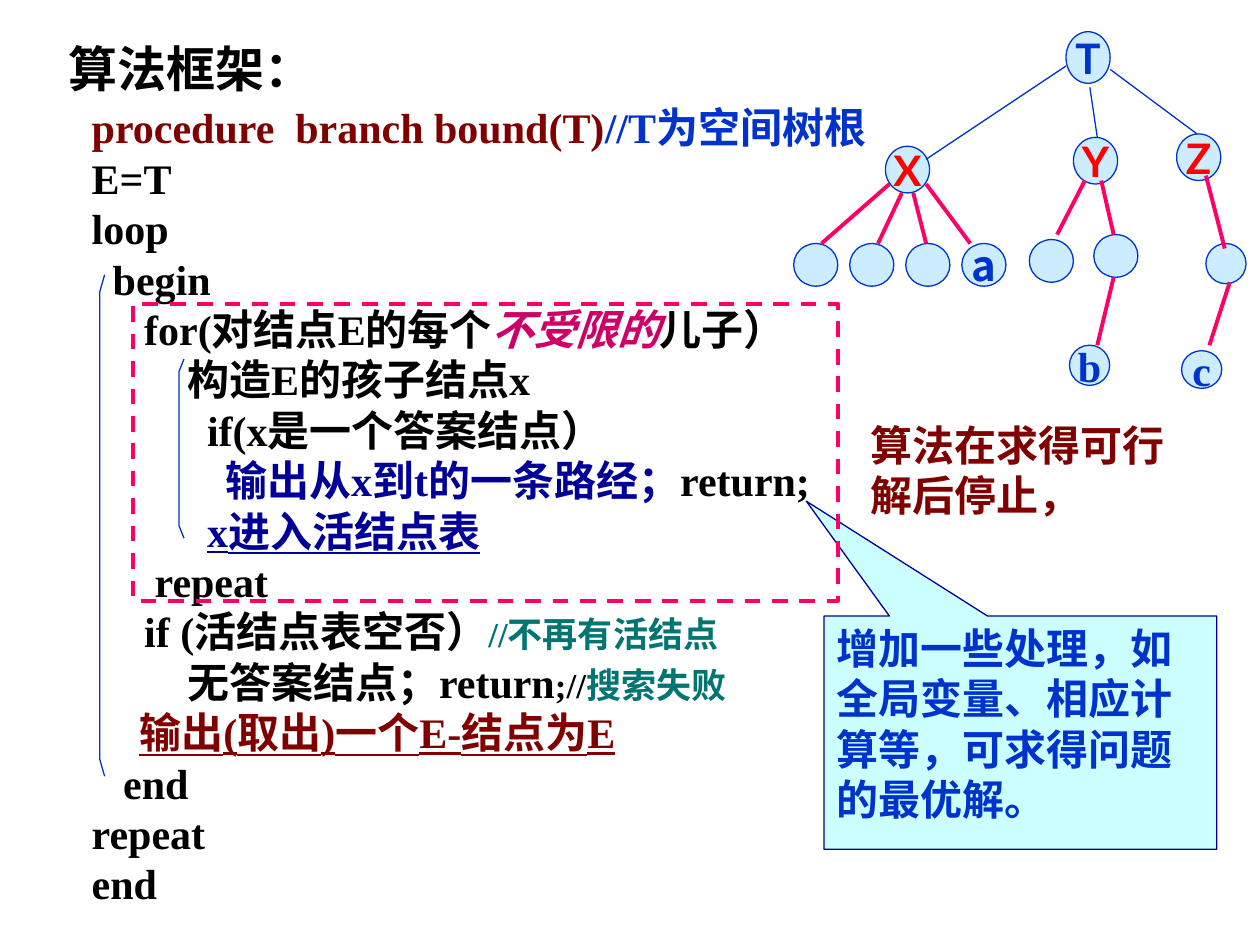
from lxml import etree
from pptx import Presentation
from pptx.dml.color import RGBColor
from pptx.enum.dml import MSO_LINE
from pptx.enum.shapes import MSO_CONNECTOR, MSO_SHAPE
from pptx.enum.text import MSO_ANCHOR, PP_ALIGN
from pptx.oxml.ns import qn
from pptx.util import Cm, Pt

STRAIGHT = MSO_CONNECTOR.STRAIGHT
OVAL, RECTANGLE = MSO_SHAPE.OVAL, MSO_SHAPE.RECTANGLE
CALLOUT = MSO_SHAPE.RECTANGULAR_CALLOUT
DASH = MSO_LINE.DASH
TOP, MIDDLE = MSO_ANCHOR.TOP, MSO_ANCHOR.MIDDLE
LEFT, CENTER = PP_ALIGN.LEFT, PP_ALIGN.CENTER

BLACK = RGBColor(0x00, 0x00, 0x00)
BLUE = RGBColor(0x00, 0x33, 0xCC)
NAVY = RGBColor(0x00, 0x00, 0x99)
MAROON = RGBColor(0x80, 0x00, 0x00)
MAGENTA = RGBColor(0xCC, 0x00, 0x66)
PINK = RGBColor(0xFF, 0x00, 0x66)
RED = RGBColor(0xFF, 0x00, 0x00)
TEAL = RGBColor(0x00, 0x75, 0x72)
PALE_BLUE = RGBColor(0xCC, 0xEC, 0xFF)
PALE_CYAN = RGBColor(0xCC, 0xFF, 0xFF)

SERIF, SANS, CHINESE = "Times New Roman", "Lato", "Noto Sans CJK SC"
LINE_FACTOR = 1.2

# Each code line is a list of runs: text, colour, further font values
UNDERLINED = {"underline": True}
SMALL = {"size": Pt(20)}
CODE = [
    [("procedure  branch bound(T)", MAROON, {}), ("//T为空间树根", BLUE, {})],
    [("E=T", BLACK, {})],
    [("loop", BLACK, {})],
    [("  begin", BLACK, {})],
    [("     for(对结点E的每个", BLACK, {}),
     ("不受限的", MAGENTA, {"italic": True}), ("儿子）", BLACK, {})],
    [("          构造E的孩子结点x", BLACK, {})],
    [("           if(x是一个答案结点）", BLACK, {})],
    [("              输出从x到t的一条路经；", NAVY, {}), ("return;", BLACK, {})],
    [("           ", NAVY, {}), ("x进入活结点表", NAVY, UNDERLINED)],
    [("      repeat", BLACK, {})],
    [("     if (活结点表空否）", BLACK, {}), ("//不再有活结点", TEAL, SMALL)],
    [("          无答案结点；return", BLACK, {}), (";//", BLACK, SMALL),
     ("搜索失败", TEAL, SMALL)],
    [("     ", MAROON, {}), ("输出(取出)一个E-结点为E", MAROON, UNDERLINED)],
    [("   end", BLACK, {})],
    [("repeat", BLACK, {})],
    [("end", BLACK, {})],
]

# Tree geometry in cm, relative to the tree's box
NODE_WIDTH, LEAF_HEIGHT, INNER_HEIGHT, SMALL_NODE = 0.89, 0.86, 0.94, 0.81
LEAF_TOP, LEAF_STEP = 4.27, 1.13
NODES = [  # left, top, width, height, label, font, colour
    (5.49, 0, NODE_WIDTH, 1.04, "T", SANS, BLUE),
    (1.85, 2.31, NODE_WIDTH, INNER_HEIGHT, "X", SANS, RED),
    (5.64, 2.13, NODE_WIDTH, INNER_HEIGHT, "Y", SANS, RED),
    (7.72, 2.06, NODE_WIDTH, INNER_HEIGHT, "Z", SANS, RED),
    (4.75, 4.19, NODE_WIDTH, LEAF_HEIGHT, "", SANS, BLUE),
    (6.05, 4.09, NODE_WIDTH, LEAF_HEIGHT, "", SANS, BLUE),
    (8.31, LEAF_TOP, SMALL_NODE, SMALL_NODE, "", SANS, BLUE),
    (5.56, 6.32, SMALL_NODE, SMALL_NODE, "b", SERIF, BLUE),
    (7.82, 6.43, SMALL_NODE, 0.76, "c", SERIF, BLUE),
] + [(column * LEAF_STEP, LEAF_TOP, NODE_WIDTH, LEAF_HEIGHT, label, CHINESE, BLUE)
     for column, label in enumerate(["", "", "", "a"])]
ROOT_EDGES = [
    (5.49, 0.69, 2.67, 2.57), (5.97, 1.12, 6.12, 2.13), (6.38, 0.76, 8.13, 2.06),
]
BRANCH_EDGES = [
    (1.93, 3.07, 0.56, 4.27), (2.18, 3.25, 1.70, 4.27),
    (2.41, 3.25, 2.67, 4.27), (2.67, 3.07, 3.56, 4.27),
    (5.87, 3.00, 5.31, 4.09), (6.20, 3.00, 6.45, 4.09), (6.45, 4.95, 6.12, 6.32),
    (8.31, 2.90, 8.69, 4.37), (8.79, 5.05, 8.38, 6.32),
]


def write(shape, lines, size=24, font=SERIF, align=LEFT, anchor=TOP, wrap=True):
    frame = shape.text_frame
    frame.word_wrap, frame.vertical_anchor = wrap, anchor
    for index, runs in enumerate(lines):
        paragraph = frame.add_paragraph() if index else frame.paragraphs[0]
        paragraph.alignment = align
        paragraph.line_spacing = Pt(size * LINE_FACTOR)
        for text, color, extra in runs:
            run = paragraph.add_run()
            run.text = text
            values = {"name": font, "size": Pt(size), "bold": True, **extra}
            for name, value in values.items():
                setattr(run.font, name, value)
            run.font.color.rgb = color
            east_asian = etree.SubElement(run.font._element, qn("a:ea"))
            east_asian.set("typeface", CHINESE)


def outline(shape, color, width=0.75, fill=None):
    shape.shadow.inherit = False
    shape.line.color.rgb = color
    shape.line.width = Pt(width)
    if fill is None:
        shape.fill.background()
    else:
        shape.fill.solid()
        shape.fill.fore_color.rgb = fill


def add_text(slide, box, lines, **style):
    shape = slide.shapes.add_textbox(*map(Cm, box))
    write(shape, lines, **style)


def add_bracket(slide, box, shoulder):
    left, top, width, height = box
    points = [(left + width, top), (left, top + shoulder),
              (left, top + height - shoulder), (left + width, top + height)]
    points = [(Cm(x), Cm(y)) for x, y in points]
    builder = slide.shapes.build_freeform(*points[0])
    builder.add_line_segments(points[1:], close=False)
    outline(builder.convert_to_shape(), BLUE)


def add_callout(slide, box):
    shape = slide.shapes.add_shape(CALLOUT, *map(Cm, box))
    shape.adjustments[0], shape.adjustments[1] = -0.545, -0.993
    outline(shape, NAVY, fill=PALE_CYAN)
    write(shape, [[("增加一些处理，如全局变量、相应计算等，可求得问题的最优解。", BLUE, {})]])


def add_loop_frame(slide, box):
    shape = slide.shapes.add_shape(RECTANGLE, *map(Cm, box))
    outline(shape, PINK, 2.25)
    shape.line.dash_style = DASH


def add_tree(slide, left, top):
    shapes = slide.shapes.add_group_shape().shapes
    for x, y, width, height, label, font, color in NODES:
        node = shapes.add_shape(OVAL, Cm(left + x), Cm(top + y), Cm(width), Cm(height))
        outline(node, BLUE, fill=PALE_BLUE)
        if label:
            write(node, [[(label, color, {})]], font=font, align=CENTER,
                  anchor=MIDDLE, wrap=False)
    for edges, color, width in [(ROOT_EDGES, BLUE, 0.75), (BRANCH_EDGES, PINK, 2.25)]:
        for x1, y1, x2, y2 in edges:
            edge = shapes.add_connector(STRAIGHT, Cm(left + x1), Cm(top + y1),
                                        Cm(left + x2), Cm(top + y2))
            edge.line.color.rgb = color
            edge.line.width = Pt(width)
            etree.SubElement(edge._element.spPr, qn("a:effectLst"))


def main():
    presentation = Presentation()
    presentation.slide_width, presentation.slide_height = Cm(25.4), Cm(19.05)
    slide = presentation.slides.add_slide(presentation.slide_layouts[6])

    # Pseudocode with its block brackets
    add_text(slide, (1.6, 1.93, 18.69, 16.51), CODE)
    add_bracket(slide, (3.61, 7.24, 0.1, 3.61), 0.25)
    add_bracket(slide, (2.01, 5.54, 0.1, 10.11), 0.35)

    # Remarks and heading
    add_text(slide, (17.3, 8.33, 7.26, 2.29),
             [[("算法在求得可行解后停止，", MAROON, {})]], font=SANS)
    add_callout(slide, (16.61, 12.42, 7.92, 4.7))
    add_text(slide, (1.14, 0.66, 7.75, 1.45),
             [[("算法框架：", BLACK, {})]], size=28)

    # Loop frame and search tree
    add_loop_frame(slide, (2.69, 6.12, 14.2, 5.99))
    add_tree(slide, 16, 0.64)
    presentation.save("out.pptx")


if __name__ == "__main__":
    main()
